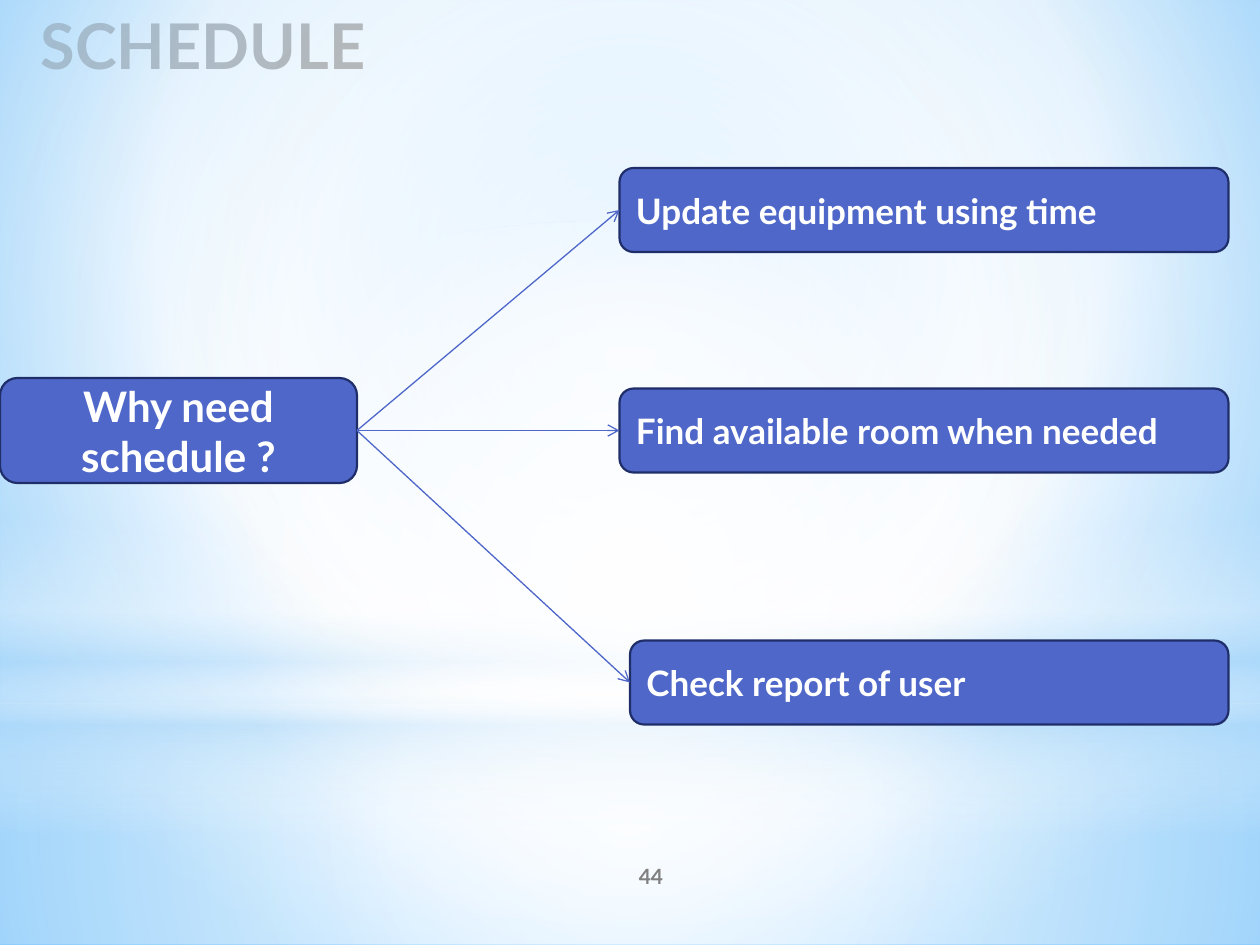
from lxml.etree import SubElement as Sub
from pptx import Presentation
from pptx.dml.color import RGBColor as RGB
from pptx.enum.shapes import MSO_CONNECTOR as LINK, MSO_SHAPE as SHAPE
from pptx.enum.text import MSO_ANCHOR as ANCHOR, PP_ALIGN as ALIGN
from pptx.oxml.ns import qn
from pptx.util import Inches, Pt

HUE = {"box": "4E67C8", "edge": "1F2E69", "title": "404040", "page": "808080",
       "white": "FFFFFF", "pale": "B4DCFA", "sky": "9ED5FF", "deep": "5BB9FF"}
CELL = Inches(1) / 12
MID = (50, 50, 50, 50)


def blend(fill, node, stops, focus):
    fill.solid()
    old = node.find(qn("a:solidFill"))
    grad = old.makeelement(qn("a:gradFill"), {"rotWithShape": "1"})
    node.replace(old, grad)
    marks = Sub(grad, qn("a:gsLst"))
    for pos, hue, alpha in stops:
        mark = Sub(marks, qn("a:gs"), pos=str(pos * 1000))
        tint = Sub(mark, qn("a:srgbClr"), val=HUE[hue])
        if alpha < 100:
            Sub(tint, qn("a:alpha"), val=str(alpha * 1000))
    if focus:
        way = Sub(grad, qn("a:path"), {"path": "circle"})
        Sub(way, qn("a:fillToRect"), {side: str(v * 1000) for side, v in zip("ltrb", focus)})
    else:
        Sub(grad, qn("a:lin"), ang="5400000", scaled="0")


def write(shape, text, size, hue, align, anchor=ANCHOR.MIDDLE):
    frame = shape.text_frame
    frame.text = text
    frame.word_wrap = True
    frame.vertical_anchor = anchor
    para = frame.paragraphs[0]
    para.alignment = align
    para.font.name = "Lato"
    para.font.size = Pt(size)
    para.font.bold = True
    para.font.color.rgb = RGB.from_string(HUE[hue])


deck = Presentation()
deck.slide_width, deck.slide_height = Inches(10), Inches(7.5)
slide = deck.slides.add_slide(deck.slide_layouts[5])
shapes = slide.shapes

back = slide.background.fill
back.solid()
blend(back, slide._element.find(".//" + qn("p:bgPr")),
      [(0, "sky", 100), (60, "white", 100), (100, "deep", 100)], (20, 10, 20, 60))

panels = [
    (SHAPE.RECTANGLE, 67, 23, MID,
     [(0, "white", 91), (37, "white", 76), (100, "pale", 79)]),
    (SHAPE.RECTANGLE, 0, 67, MID,
     [(0, "white", 89), (48, "white", 62), (100, "pale", 79)]),
    (SHAPE.RECTANGLE, 49.5, 30, None,
     [(0, "white", 0), (29, "white", 30), (45, "pale", 40),
      (55, "white", 26), (65, "pale", 60), (100, "white", 0)]),
    (SHAPE.OVAL, 21, 67, MID, [(0, "white", 100), (56, "white", 0)]),
]
for kind, row, tall, focus, stops in panels:
    panel = shapes.add_shape(kind, 0, int(row * CELL), deck.slide_width, int(tall * CELL))
    panel.shadow.inherit = False
    panel.line.fill.background()
    blend(panel.fill, panel._element.spPr, stops, focus)

page = shapes.add_textbox(int(50 * CELL), int(81 * CELL), Inches(2), Inches(0.4))
write(page, "44", 12, "page", ALIGN.CENTER)

cards = [
    ("Why need schedule ?", 0, 36, 34, 10, 24, ALIGN.CENTER),
    ("Update equipment using time", 59, 16, 58, 8, 20, ALIGN.LEFT),
    ("Find available room when needed", 59, 37, 58, 8, 20, ALIGN.LEFT),
    ("Check report of user", 60, 61, 57, 8, 20, ALIGN.LEFT),
]
boxes = []
for text, col, row, wide, tall, size, align in cards:
    box = shapes.add_shape(SHAPE.ROUNDED_RECTANGLE,
                           *(int(n * CELL) for n in (col, row, wide, tall)))
    box.shadow.inherit = False
    box.fill.solid()
    box.fill.fore_color.rgb = RGB.from_string(HUE["box"])
    box.line.color.rgb = RGB.from_string(HUE["edge"])
    box.line.width = Pt(1.25)
    write(box, text, size, "white", align)
    boxes.append(box)

root, *leaves = boxes
for leaf in leaves:
    link = shapes.add_connector(LINK.STRAIGHT, 0, 0, 0, 0)
    link.begin_connect(root, 3)
    link.end_connect(leaf, 1)
    link.line.color.rgb = RGB.from_string(HUE["box"])
    link.line.width = Pt(0.75)
    Sub(link.line._get_or_add_ln(), qn("a:tailEnd"), type="arrow")
    Sub(link._element.spPr, qn("a:effectLst"))

title = shapes.title
title.left, title.top, title.width, title.height = 0, 0, Inches(3), Inches(0.88)
write(title, "SCHEDULE", 36, "title", ALIGN.RIGHT, ANCHOR.TOP)

deck.save("out.pptx")
